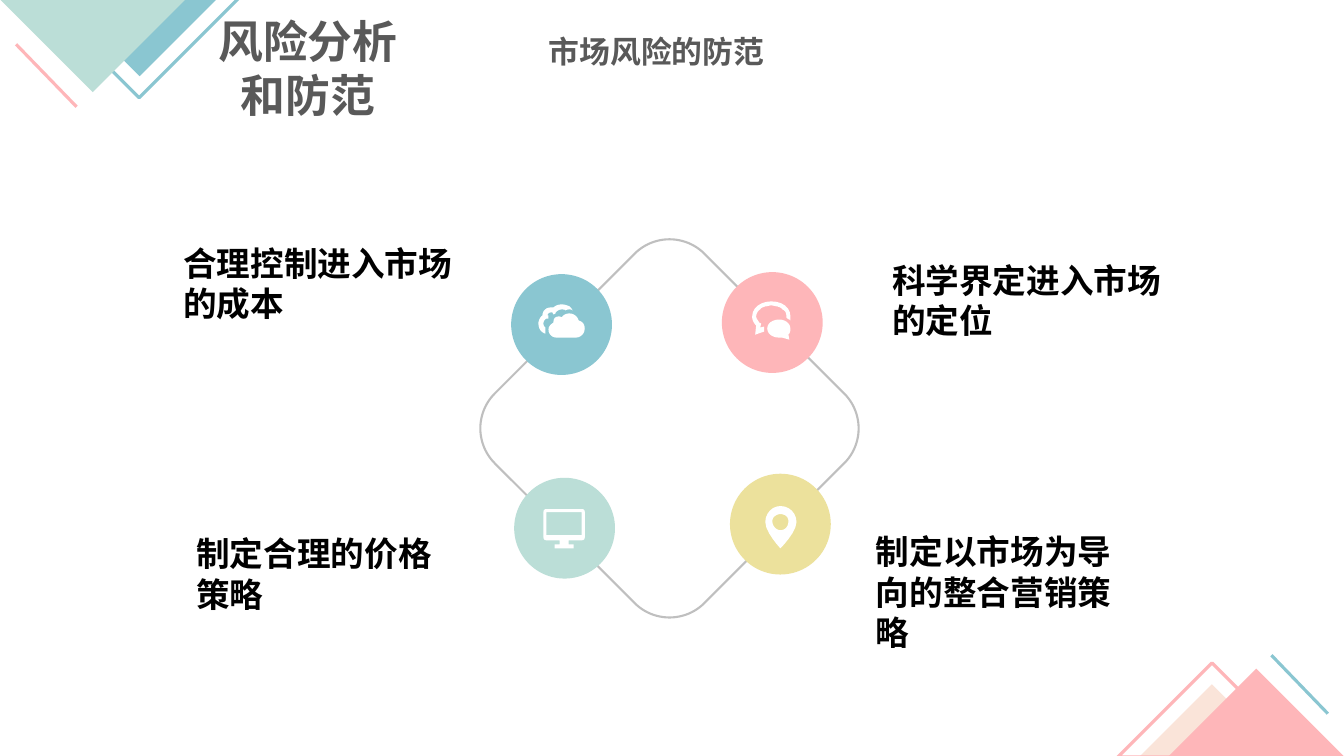
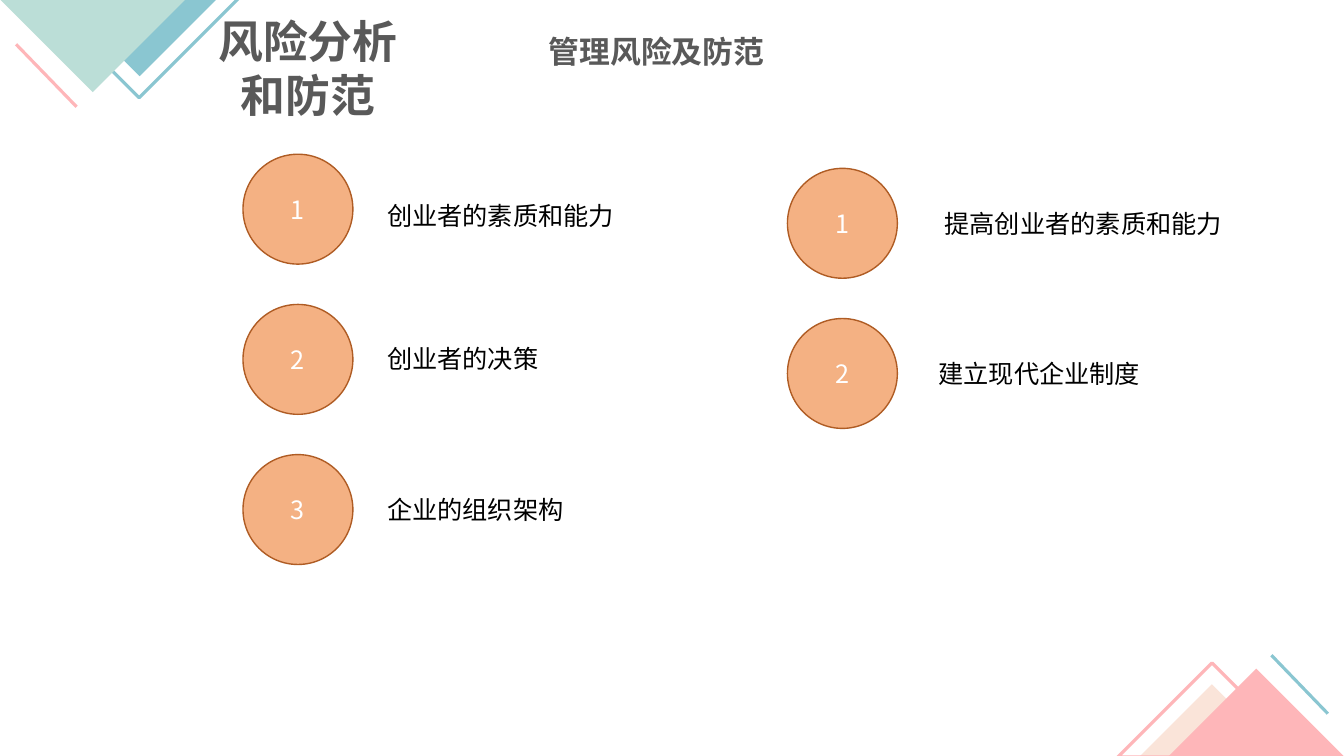
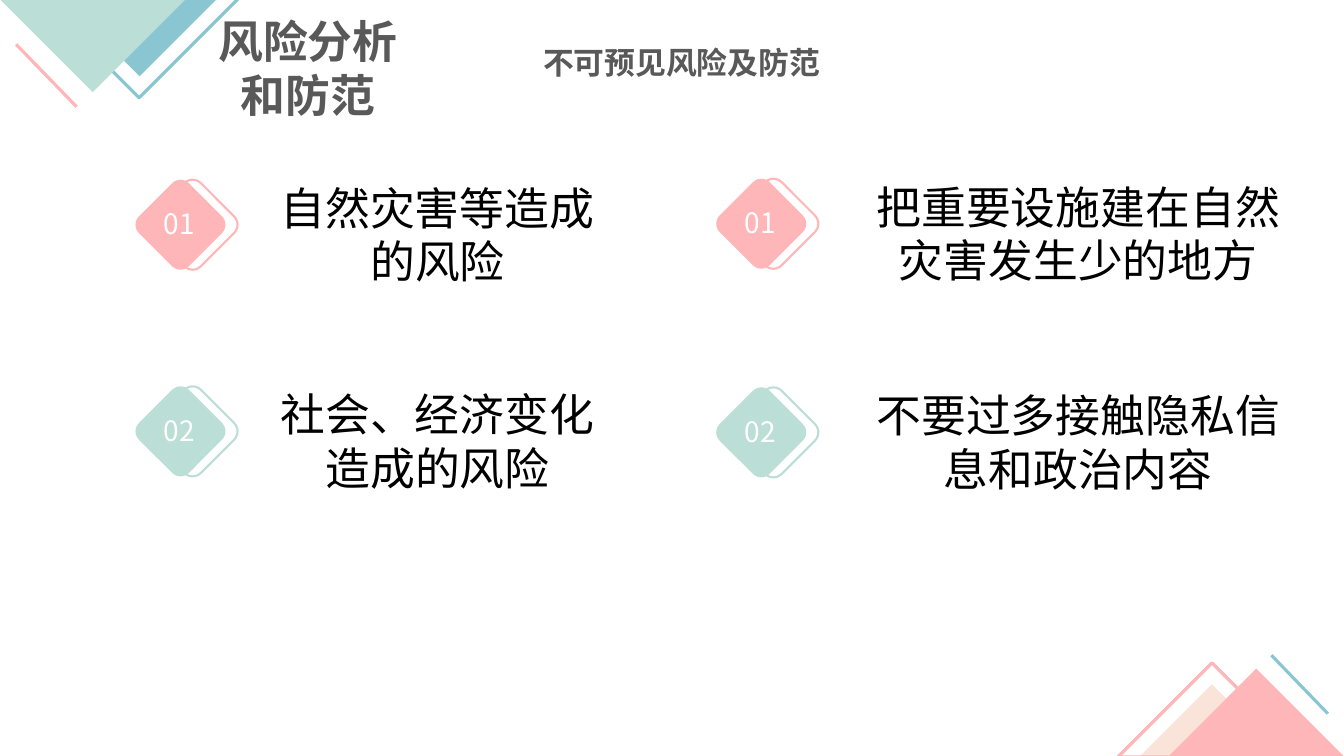
from dataclasses import dataclass
from typing import Any, Optional

from lxml.etree import SubElement
from pptx import Presentation
from pptx.dml.color import RGBColor
from pptx.enum.shapes import MSO_CONNECTOR as Connector, MSO_SHAPE as Shape
from pptx.enum.text import MSO_ANCHOR as Anchor, MSO_AUTO_SIZE as AutoSize, PP_ALIGN as Align
from pptx.oxml.ns import qn
from pptx.util import Inches, Pt

FONT = "Noto Sans CJK SC"
NUMBER_FONT = "Noto Sans CJK JP"
PINK, BLUE, MINT, YELLOW, PEACH = "FEB6B9", "8AC6D1", "BBDED7", "ECE19C", "FAE4D9"
ORANGE, BROWN, GRAY, DARK = "F4B183", "AF5C24", "BFBFBF", "595959"
BLACK, WHITE = "000000", "FFFFFF"
CURVE_STEPS = 6
TITLE = "风险分析和防范"

Segment = tuple[float, ...]
Outline = list[Segment]


@dataclass(frozen=True)
class Triangle:
    left: float
    top: float
    size: float
    fill: Optional[str] = None
    line: Optional[str] = None


@dataclass(frozen=True)
class Corner:
    rotation: float
    triangles: list[Triangle]
    stroke: tuple[float, float, float, float]
    stroke_color: str


@dataclass(frozen=True)
class Measure:
    text: str
    left: float
    top: float
    width: float
    height: float


@dataclass(frozen=True)
class Badge:
    left: float
    top: float
    color: str
    icons: list[list[Outline]]


@dataclass(frozen=True)
class NumberedList:
    left: float
    top: float
    label_width: float
    labels: list[tuple[str, float, float]]


@dataclass(frozen=True)
class Risk:
    number: str
    text: str
    left: float
    top: float
    label_width: float
    color: str


CORNERS = [
    Corner(135, [Triangle(11.51, 7, 1.02, fill=PEACH),
                 Triangle(11.84, 6.89, 1.24, fill=PINK),
                 Triangle(11.36, 6.85, 1.32, line=PINK)],
           (12.61, 6.5, 13.17, 7.08), BLUE),
    Corner(315, [Triangle(0.68, -0.72, 1.4, line=BLUE),
                 Triangle(0.84, -0.56, 1.09, fill=BLUE),
                 Triangle(0.26, -0.68, 1.32, fill=MINT)],
           (0.76, 1.06, 0.16, 0.44), PINK),
]

PIN = [
    [(7.74, 5.02), (7.66, 5.02, 7.59, 5.09, 7.59, 5.18), (7.59, 5.28, 7.74, 5.44, 7.74, 5.44),
     (7.74, 5.44, 7.9, 5.28, 7.9, 5.18), (7.9, 5.09, 7.83, 5.02, 7.74, 5.02)],
    [(7.74, 5.26), (7.7, 5.26, 7.66, 5.22, 7.66, 5.17), (7.66, 5.13, 7.7, 5.1, 7.74, 5.1),
     (7.79, 5.1, 7.82, 5.13, 7.82, 5.17), (7.82, 5.22, 7.79, 5.26, 7.74, 5.26)],
]
FRONT_CLOUD = [[
    (5.74, 3.18), (5.73, 3.14, 5.69, 3.11, 5.65, 3.11), (5.62, 3.11, 5.59, 3.12, 5.57, 3.15),
    (5.56, 3.14, 5.55, 3.14, 5.54, 3.14), (5.51, 3.14, 5.49, 3.16, 5.49, 3.19), (5.49, 3.2),
    (5.46, 3.22, 5.44, 3.24, 5.44, 3.27), (5.44, 3.32, 5.48, 3.35, 5.52, 3.35), (5.71, 3.35),
    (5.76, 3.35, 5.8, 3.31, 5.8, 3.26), (5.8, 3.22, 5.78, 3.19, 5.74, 3.18),
]]
BACK_CLOUD = [[
    (5.46, 3.1), (5.48, 3.1), (5.49, 3.12), (5.51, 3.11), (5.51, 3.1),
    (5.53, 3.08, 5.55, 3.07, 5.57, 3.07), (5.59, 3.07, 5.6, 3.07, 5.61, 3.08),
    (5.62, 3.07, 5.64, 3.07, 5.65, 3.07), (5.66, 3.07, 5.67, 3.07, 5.68, 3.08),
    (5.67, 3.06, 5.66, 3.05, 5.65, 3.04), (5.63, 3.03, 5.6, 3.02, 5.57, 3.02),
    (5.54, 3.02, 5.51, 3.03, 5.49, 3.05), (5.48, 3.05, 5.47, 3.05, 5.46, 3.05),
    (5.42, 3.05, 5.38, 3.08, 5.38, 3.13), (5.36, 3.14, 5.34, 3.18, 5.34, 3.21),
    (5.34, 3.26, 5.37, 3.3, 5.41, 3.31), (5.41, 3.25), (5.4, 3.24, 5.39, 3.23, 5.39, 3.21),
    (5.39, 3.19, 5.4, 3.17, 5.42, 3.16), (5.44, 3.16), (5.44, 3.13), (5.43, 3.13),
    (5.43, 3.11, 5.45, 3.1, 5.46, 3.1),
]]
SMALL_BUBBLE = [[
    (7.84, 3.26), (7.84, 3.21, 7.79, 3.17, 7.73, 3.17), (7.66, 3.17, 7.61, 3.21, 7.61, 3.26),
    (7.61, 3.31, 7.66, 3.35, 7.73, 3.35), (7.76, 3.35), (7.83, 3.37), (7.82, 3.32),
    (7.84, 3.3, 7.84, 3.28, 7.84, 3.26),
]]
LARGE_BUBBLE = [[
    (7.54, 3.07), (7.55, 3.05, 7.57, 3.05, 7.59, 3.04), (7.61, 3.04, 7.63, 3.03, 7.65, 3.03),
    (7.67, 3.03, 7.69, 3.04, 7.71, 3.04), (7.73, 3.05, 7.75, 3.05, 7.76, 3.07),
    (7.79, 3.08, 7.8, 3.11, 7.8, 3.14), (7.8, 3.15), (7.81, 3.16, 7.82, 3.17, 7.83, 3.17),
    (7.84, 3.18), (7.84, 3.14), (7.84, 3.05, 7.76, 2.99, 7.65, 2.99),
    (7.55, 2.99, 7.46, 3.05, 7.46, 3.14), (7.46, 3.17, 7.47, 3.2, 7.5, 3.23), (7.49, 3.32),
    (7.58, 3.29), (7.58, 3.24), (7.54, 3.25), (7.55, 3.21), (7.53, 3.2),
    (7.52, 3.18, 7.5, 3.16, 7.5, 3.14), (7.5, 3.11, 7.52, 3.08, 7.54, 3.07),
]]
MONITOR = [
    [(5.77, 5.05), (5.42, 5.05), (5.4, 5.05, 5.39, 5.06, 5.39, 5.08), (5.39, 5.33),
     (5.39, 5.35, 5.4, 5.36, 5.42, 5.36), (5.55, 5.36), (5.55, 5.4), (5.5, 5.4), (5.5, 5.44),
     (5.69, 5.44), (5.69, 5.4), (5.64, 5.4), (5.64, 5.36), (5.77, 5.36),
     (5.79, 5.36, 5.8, 5.35, 5.8, 5.33), (5.8, 5.08), (5.8, 5.06, 5.79, 5.05, 5.77, 5.05)],
    [(5.77, 5.31), (5.77, 5.08), (5.42, 5.08), (5.42, 5.31)],
]

BADGES = [
    Badge(7.24, 4.7, YELLOW, [PIN]),
    Badge(5.07, 2.72, BLUE, [FRONT_CLOUD, BACK_CLOUD]),
    Badge(7.16, 2.7, PINK, [SMALL_BUBBLE, LARGE_BUBBLE]),
    Badge(5.1, 4.74, MINT, [MONITOR]),
]
MEASURES = [
    Measure("科学界定进入市场的定位", 8.75, 2.53, 3.1, 0.91),
    Measure("制定以市场为导向的整合营销策略", 8.59, 5.22, 2.57, 1.31),
    Measure("合理控制进入市场的成本", 1.72, 2.36, 3.03, 0.91),
    Measure("制定合理的价格策略", 1.85, 5.24, 2.57, 0.91),
]
CIRCLE_SIZE, CIRCLE_PITCH = 1.09, 1.49
NUMBERED_LISTS = [
    NumberedList(2.41, 1.53, 2.85, [("创业者的素质和能力", 3.74, 1.94),
                                    ("创业者的决策", 3.74, 3.36),
                                    ("企业的组织架构", 3.74, 4.85)]),
    NumberedList(7.81, 1.67, 3.11, [("提高创业者的素质和能力", 9.27, 2.02),
                                    ("建立现代企业制度", 9.21, 3.51)]),
]
DIAMOND_SIZE = 0.7
RISKS = [
    Risk("01", "自然灾害等造成的风险", 1.44, 1.88, 3.34, PINK),
    Risk("02", "社会、经济变化造成的风险", 1.44, 3.93, 3.34, MINT),
    Risk("01", "把重要设施建在自然灾害发生少的地方", 7.2, 1.87, 4.53, PINK),
    Risk("02", "不要过多接触隐私信息和政治内容", 7.2, 3.94, 4.53, MINT),
]


def rgb(color: str) -> RGBColor:
    return RGBColor.from_string(color)


def paint(shape: Any, fill: Optional[str], line: Optional[str], width: float) -> None:
    shape.shadow.inherit = False
    if fill:
        shape.fill.solid()
        shape.fill.fore_color.rgb = rgb(fill)
    else:
        shape.fill.background()
    if line:
        shape.line.color.rgb = rgb(line)
        shape.line.width = Pt(width)
    else:
        shape.line.fill.background()


def draw(shapes: Any, preset: Any, left: float, top: float, size: float, *,
         fill: Optional[str] = None, line: Optional[str] = None,
         width: float = 1.5, rotation: float = 0) -> Any:
    shape = shapes.add_shape(preset, Inches(left), Inches(top), Inches(size), Inches(size))
    shape.rotation = rotation
    paint(shape, fill, line, width)
    return shape


def write(frame: Any, text: str, *, size: float, color: str = BLACK, bold: bool = False,
          align: Any = Align.LEFT, anchor: Any = Anchor.TOP, font: str = FONT) -> None:
    frame.word_wrap = True
    frame.vertical_anchor = anchor
    paragraph = frame.paragraphs[0]
    paragraph.alignment = align
    run = paragraph.add_run()
    run.text = text
    run.font.size = Pt(size)
    run.font.bold = bold
    run.font.color.rgb = rgb(color)
    run.font.name = font
    SubElement(run.font._element, qn("a:ea"), typeface=font)


def label(slide: Any, text: str, left: float, top: float, width: float, height: float,
          **style: Any) -> None:
    box = slide.shapes.add_textbox(Inches(left), Inches(top), Inches(width), Inches(height))
    write(box.text_frame, text, **style)
    box.text_frame.auto_size = AutoSize.SHAPE_TO_FIT_TEXT


def flatten(outline: Outline) -> list[tuple[int, int]]:
    points = [outline[0]]
    for segment in outline[1:]:
        if len(segment) == 2:
            points.append(segment)
            continue
        x0, y0 = points[-1]
        x1, y1, x2, y2, x3, y3 = segment
        for step in range(1, CURVE_STEPS + 1):
            t = step / CURVE_STEPS
            a, b, c, d = (1 - t) ** 3, 3 * t * (1 - t) ** 2, 3 * t * t * (1 - t), t ** 3
            points.append((a * x0 + b * x1 + c * x2 + d * x3,
                           a * y0 + b * y1 + c * y2 + d * y3))
    return [(Inches(x), Inches(y)) for x, y in points]


def draw_icon(slide: Any, outlines: list[Outline]) -> None:
    first, *holes = [flatten(outline) for outline in outlines]
    builder = slide.shapes.build_freeform(*first[0])
    builder.add_line_segments(first[1:], close=True)
    for hole in holes:
        builder.move_to(*hole[0])
        builder.add_line_segments(hole[1:], close=True)
    paint(builder.convert_to_shape(), WHITE, None, 0)


def draw_corner(slide: Any, corner: Corner) -> None:
    shapes = slide.shapes.add_group_shape().shapes
    for triangle in corner.triangles:
        draw(shapes, Shape.RIGHT_TRIANGLE, triangle.left, triangle.top, triangle.size,
             fill=triangle.fill, line=triangle.line, width=2.25, rotation=corner.rotation)
    stroke = shapes.add_connector(Connector.STRAIGHT, *[Inches(v) for v in corner.stroke])
    stroke.line.color.rgb = rgb(corner.stroke_color)
    stroke.line.width = Pt(2.25)
    SubElement(stroke._element.spPr, qn("a:effectLst"))


def add_page(deck: Any, subtitle: str, top: float = 0.28, width: float = 2.82) -> Any:
    slide = deck.slides.add_slide(deck.slide_layouts[5])
    for corner in CORNERS:
        draw_corner(slide, corner)
    title = slide.shapes.title
    title.left, title.top, title.width, title.height = (
        Inches(2), Inches(0.09), Inches(2.11), Inches(1.18))
    write(title.text_frame, TITLE, size=32, color=DARK, bold=True, align=Align.CENTER)
    title.text_frame.auto_size = AutoSize.NONE
    label(slide, subtitle, 5.1, top, width, 0.47,
          size=22, color=DARK, bold=True, align=Align.CENTER)
    return slide


def build_market(deck: Any) -> None:
    slide = add_page(deck, "市场风险的防范")
    draw(slide.shapes, Shape.ROUNDED_RECTANGLE, 5.17, 2.78, 2.94, line=GRAY, rotation=45)
    for badge in BADGES:
        draw(slide.shapes, Shape.OVAL, badge.left, badge.top, 1, fill=badge.color)
        for icon in badge.icons:
            draw_icon(slide, icon)
    for measure in MEASURES:
        label(slide, measure.text, measure.left, measure.top, measure.width, measure.height,
              size=24, bold=True)


def build_management(deck: Any) -> None:
    slide = add_page(deck, "管理风险及防范")
    for column in NUMBERED_LISTS:
        for index, (text, left, top) in enumerate(column.labels):
            circle = draw(slide.shapes, Shape.OVAL, column.left,
                          column.top + index * CIRCLE_PITCH, CIRCLE_SIZE,
                          fill=ORANGE, line=BROWN, width=1)
            write(circle.text_frame, str(index + 1), size=18, color=WHITE,
                  align=Align.CENTER, anchor=Anchor.MIDDLE)
            label(slide, text, left, top, column.label_width, 0.4, size=18)


def build_unforeseen(deck: Any) -> None:
    slide = add_page(deck, "不可预见风险及防范", top=0.38, width=3.32)
    for risk in RISKS:
        draw(slide.shapes, Shape.ROUNDED_RECTANGLE, risk.left + 0.12, risk.top, DIAMOND_SIZE,
             line=risk.color, rotation=45)
        draw(slide.shapes, Shape.ROUNDED_RECTANGLE, risk.left, risk.top, DIAMOND_SIZE,
             fill=risk.color, rotation=45)
        label(slide, risk.text, risk.left + 1.23, risk.top - 0.14, risk.label_width, 1.18,
              size=32, align=Align.CENTER)
        label(slide, risk.number, risk.left + 0.08, risk.top + 0.12, 0.52, 0.44,
              size=20, color=WHITE, align=Align.CENTER, font=NUMBER_FONT)


def main() -> None:
    deck = Presentation()
    deck.slide_width, deck.slide_height = Inches(13.33), Inches(7.5)
    build_market(deck)
    build_management(deck)
    build_unforeseen(deck)
    deck.save("out.pptx")


if __name__ == "__main__":
    main()
